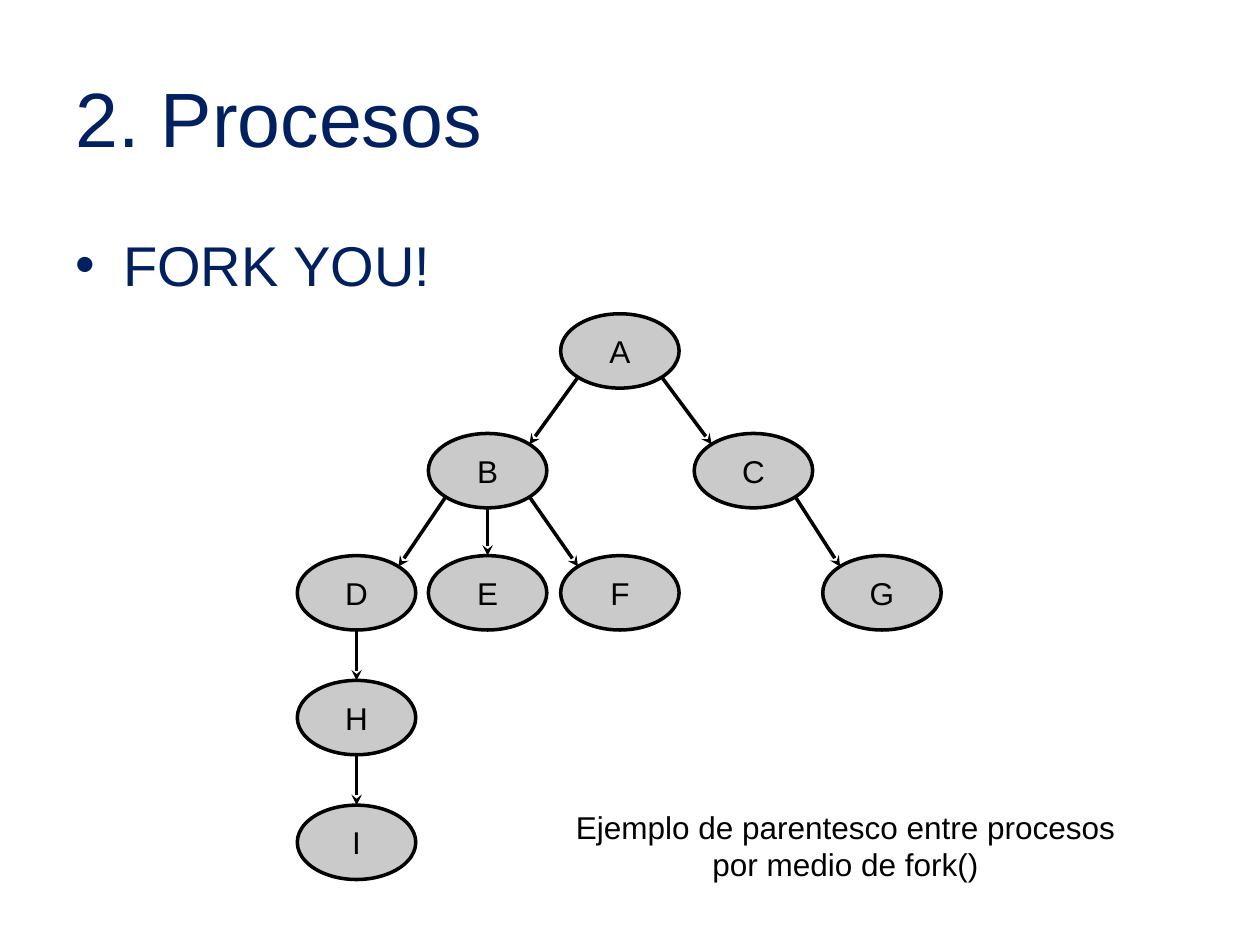
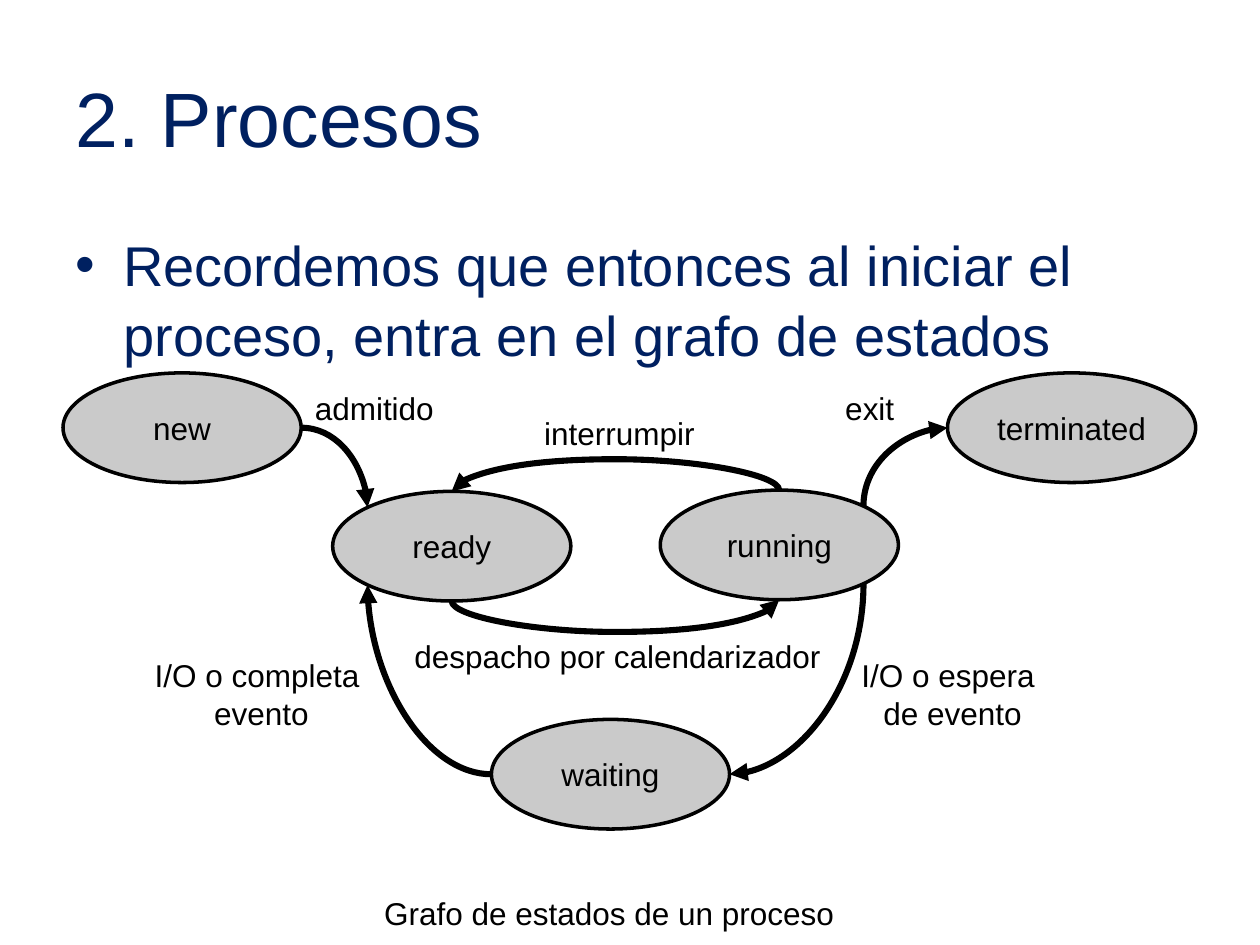
from dataclasses import dataclass

from lxml import etree
from pptx import Presentation
from pptx.dml.color import RGBColor
from pptx.enum import shapes, text
from pptx.oxml import ns
from pptx.util import Inches, Pt


@dataclass(frozen=True)
class Theme:
    font: str = "Arial"
    navy: RGBColor = RGBColor(0x00, 0x20, 0x60)
    black: RGBColor = RGBColor(0, 0, 0)
    gray: RGBColor = RGBColor(0xA6, 0xA6, 0xA6)
    node_opacity: int = 59
    title_size: int = 44
    body_size: int = 32
    label_size: int = 18
    line_width: float = 2
    curve_width: float = 3.5


THEME = Theme()
CENTER = text.PP_ALIGN.CENTER
LEFT = text.PP_ALIGN.LEFT
DIAGONAL = 0.5 ** 0.5
SITES = {
    "top": (0, -1),
    "bottom": (0, 1),
    "left": (-1, 0),
    "right": (1, 0),
    "top left": (-DIAGONAL, -DIAGONAL),
    "top right": (DIAGONAL, -DIAGONAL),
    "bottom left": (-DIAGONAL, DIAGONAL),
    "bottom right": (DIAGONAL, DIAGONAL),
}


def add_xml(parent, tag, **attributes):
    return etree.SubElement(parent, ns.qn(tag), **attributes)


def write(text_frame, words, size, color, alignment):
    text_frame.text = words
    for paragraph in text_frame.paragraphs:
        paragraph.alignment = alignment
        for run in paragraph.runs:
            run.font.name = THEME.font
            run.font.size = Pt(size)
            run.font.color.rgb = color


def add_text(slide, box, words, size, color, alignment=LEFT):
    shape = slide.shapes.add_textbox(*map(Inches, box))
    shape.text_frame.word_wrap = True
    write(shape.text_frame, words, size, color, alignment)
    return shape.text_frame


def add_label(slide, box, words, alignment=CENTER):
    text_frame = add_text(slide, box, words, THEME.label_size, THEME.black, alignment)
    text_frame.word_wrap = False
    text_frame.auto_size = text.MSO_AUTO_SIZE.SHAPE_TO_FIT_TEXT


def add_heading(slide, box, words):
    text_frame = add_text(slide, box, words, THEME.title_size, THEME.navy)
    text_frame.vertical_anchor = text.MSO_ANCHOR.MIDDLE


def add_bullet(slide, box, words):
    text_frame = add_text(slide, box, words, THEME.body_size, THEME.navy)
    paragraph = text_frame.paragraphs[0]
    paragraph.space_before = Pt(0.2 * THEME.body_size)
    paragraph.line_spacing = 1.05
    properties = paragraph._p.get_or_add_pPr()
    properties.set("marL", str(Inches(0.38)))
    properties.set("indent", str(-Inches(0.38)))
    add_xml(properties, "a:buFont", typeface=THEME.font)
    add_xml(properties, "a:buChar", char="•")


def add_node(slide, box, words):
    shape = slide.shapes.add_shape(shapes.MSO_SHAPE.OVAL, *map(Inches, box))
    shape.shadow.inherit = False
    shape.fill.solid()
    shape.fill.fore_color.rgb = THEME.gray
    color = shape._element.spPr.find(ns.qn("a:solidFill"))[0]
    add_xml(color, "a:alpha", val=str(THEME.node_opacity * 1000))
    shape.line.color.rgb = THEME.black
    shape.line.width = Pt(THEME.line_width)
    text_frame = shape.text_frame
    text_frame.word_wrap = False
    text_frame.vertical_anchor = text.MSO_ANCHOR.MIDDLE
    write(text_frame, words, THEME.label_size, THEME.black, CENTER)
    return shape


def site_of(node, site):
    across, down = SITES[site]
    return (round(node.left + node.width * (1 + across) / 2),
            round(node.top + node.height * (1 + down) / 2))


def style_connector(connector, width, arrowhead):
    connector.line.color.rgb = THEME.black
    connector.line.width = Pt(width)
    add_xml(connector.line._get_or_add_ln(), "a:tailEnd", type=arrowhead)
    add_xml(connector._element.spPr, "a:effectLst")


def add_arrow(slide, start, end):
    connector = slide.shapes.add_connector(shapes.MSO_CONNECTOR.STRAIGHT, *start, *end)
    style_connector(connector, THEME.line_width, "stealth")


def add_curve(slide, start, end, turn=0, flipped=False, bulge=None):
    width, height = abs(end[0] - start[0]), abs(end[1] - start[1])
    if turn in (90, 270):
        width, height = height, width
    left = (start[0] + end[0] - width) // 2
    top = (start[1] + end[1] - height) // 2
    connector = slide.shapes.add_connector(
        shapes.MSO_CONNECTOR.CURVE, left, top, left + width, top + height)
    properties = connector._element.spPr
    frame = properties.find(ns.qn("a:xfrm"))
    frame.set("rot", str(turn * 60000))
    if flipped:
        frame.set("flipH", "1")
        frame.set("flipV", "1")
    geometry = properties.find(ns.qn("a:prstGeom"))
    if bulge is None:
        geometry.set("prst", "curvedConnector2")
    else:
        adjustments = geometry.find(ns.qn("a:avLst"))
        ratio = round(-100000 * Inches(bulge) / width)
        add_xml(adjustments, "a:gd", name="adj1", fmla=f"val {ratio}")
    style_connector(connector, THEME.curve_width, "triangle")


def add_process_tree(slide, left, top):
    columns = (0, 1.04, 2.09, 3.15, 4.17)
    rows = (0, 0.95, 1.92, 2.91, 3.9)
    places = {"A": (2, 0), "B": (1, 1), "C": (3, 1), "D": (0, 2), "E": (1, 2),
              "F": (2, 2), "G": (4, 2), "H": (0, 3), "I": (0, 4)}
    nodes = {
        name: add_node(slide, (left + columns[column], top + rows[row], 0.94, 0.59), name)
        for name, (column, row) in places.items()
    }
    for parent, child in ("AB", "AC", "BD", "BE", "BF", "CG", "DH", "HI"):
        step = places[child][0] - places[parent][0]
        if step < 0:
            leave, arrive = "bottom left", "top right"
        elif step > 0:
            leave, arrive = "bottom right", "top left"
        else:
            leave, arrive = "bottom", "top"
        add_arrow(slide, site_of(nodes[parent], leave), site_of(nodes[child], arrive))


def add_state_graph(slide, left, top):
    states = {
        "new": (0, 0, 1.89),
        "ready": (2.14, 0.94, 1.89),
        "running": (4.74, 0.93, 1.89),
        "terminated": (7.02, 0, 1.97),
        "waiting": (3.4, 2.75, 1.89),
    }
    nodes = {
        name: add_node(slide, (left + x, top + y, width, 0.87), name)
        for name, (x, y, width) in states.items()
    }
    transitions = (
        ("new", "right", "ready", "top left", {}),
        ("running", "top right", "terminated", "left", {"turn": 90, "flipped": True}),
        ("running", "top", "ready", "top", {"turn": 270, "flipped": True, "bulge": 0.25}),
        ("ready", "bottom", "running", "bottom", {"turn": 90, "flipped": True, "bulge": 0.25}),
        ("running", "bottom right", "waiting", "right", {"turn": 90}),
        ("waiting", "left", "ready", "bottom left", {"turn": 180}),
    )
    for source, leave, target, arrive, route in transitions:
        add_curve(slide, site_of(nodes[source], leave), site_of(nodes[target], arrive), **route)
    labels = (
        ("admitido", 1.9, 0.08, 1.16, 0.4, LEFT),
        ("exit", 6.11, 0.08, 0.59, 0.4, LEFT),
        ("interrumpir", 3.72, 0.28, 1.41, 0.4, LEFT),
        ("despacho por calendarizador", 2.69, 2.05, 3.46, 0.4, LEFT),
        ("I/O o espera \nde evento", 6.23, 2.2, 1.66, 0.71, CENTER),
        ("I/O o completa \nevento", 0.62, 2.2, 1.91, 0.71, CENTER),
    )
    for words, x, y, width, height, alignment in labels:
        add_label(slide, (left + x, top + y, width, height), words, alignment)


def add_process_slide(presentation, bullet):
    slide = presentation.slides.add_slide(presentation.slide_layouts[6])
    add_heading(slide, (0.5, 0.3, 9, 1.25), "2. Procesos")
    add_bullet(slide, (0.5, 1.75, 9, 4.95), bullet)
    return slide


def main():
    presentation = Presentation()
    presentation.slide_width = Inches(10)
    presentation.slide_height = Inches(7.5)

    slide = add_process_slide(presentation, "FORK YOU!")
    add_process_tree(slide, 2.36, 2.49)
    add_label(slide, (4.45, 6.36, 4.52, 0.71),
              "Ejemplo de parentesco entre procesos\npor medio de fork()")

    slide = add_process_slide(
        presentation,
        "Recordemos que entonces al iniciar el proceso, entra en el grafo de estados")
    add_label(slide, (2.93, 7.05, 3.81, 0.4), "Grafo de estados de un proceso")
    add_state_graph(slide, 0.5, 2.96)

    presentation.save("out.pptx")


if __name__ == "__main__":
    main()
